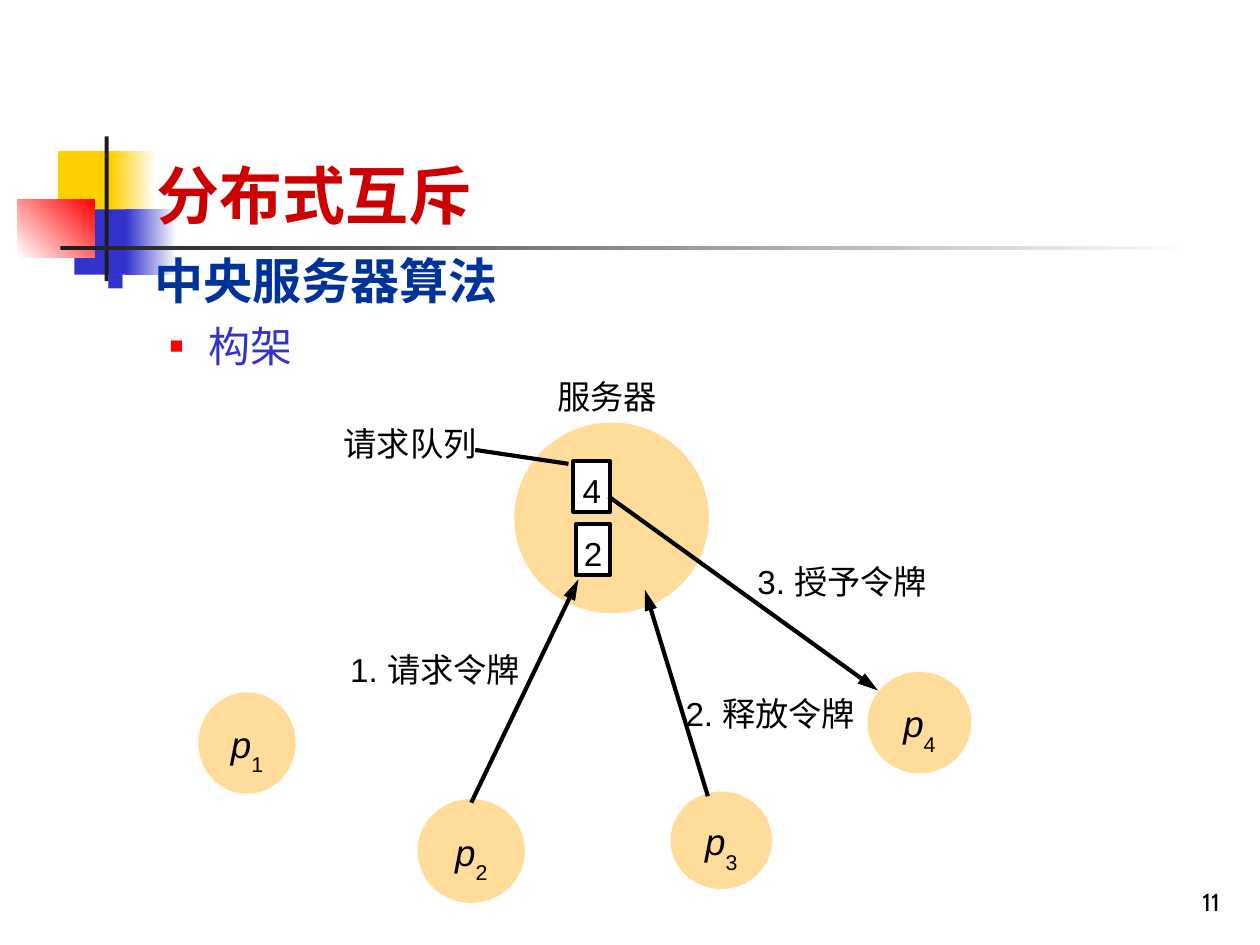
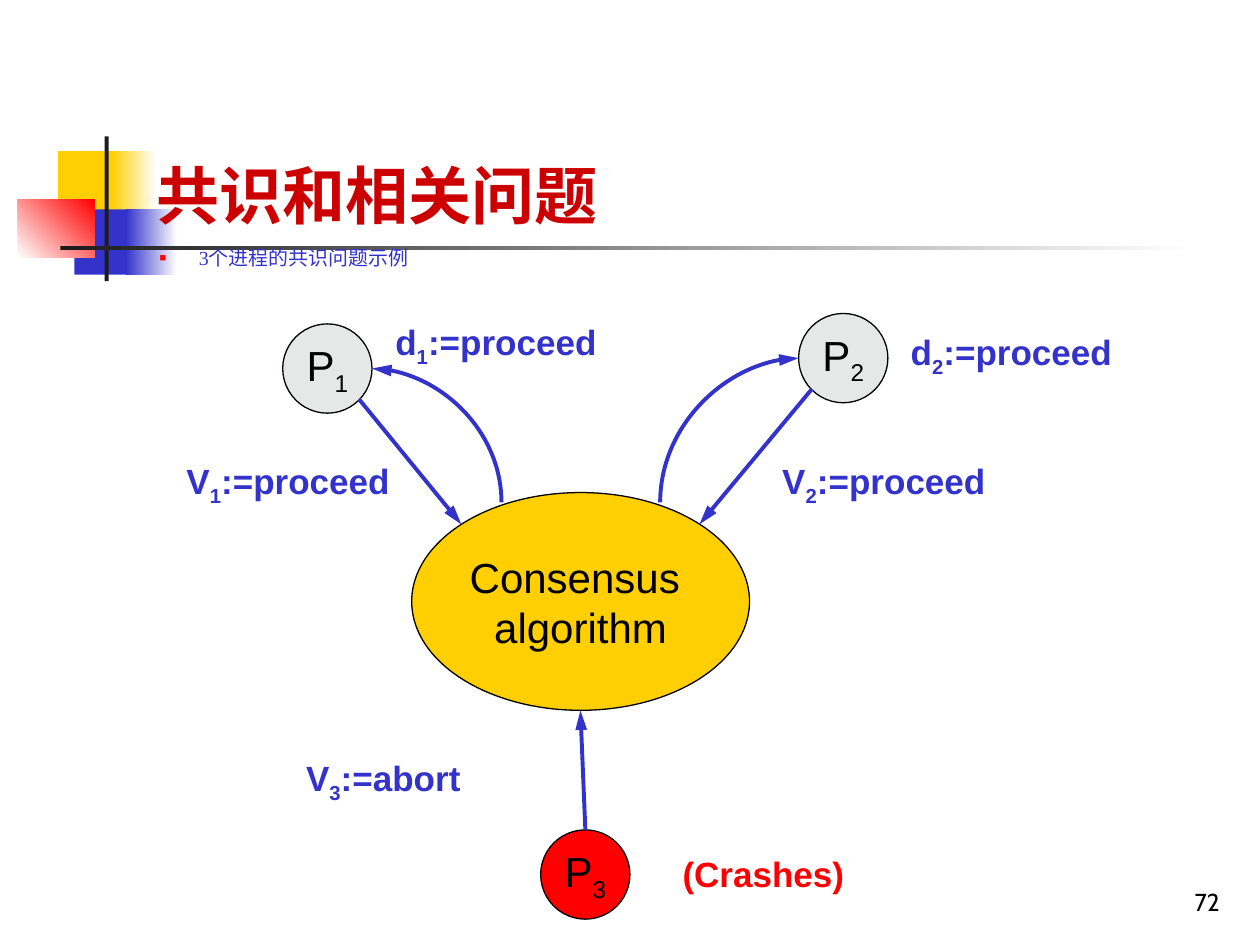
from dataclasses import dataclass

from lxml.etree import SubElement
from pptx import Presentation
from pptx.dml.color import RGBColor
from pptx.enum.shapes import MSO_CONNECTOR, MSO_SHAPE
from pptx.enum.text import MSO_ANCHOR, PP_ALIGN
from pptx.oxml.ns import qn
from pptx.util import Cm, Pt


@dataclass(frozen=True)
class Theme:
    black: str = "000000"
    white: str = "FFFFFF"
    dark: str = "1C1C1C"
    yellow: str = "FFCF01"
    blue: str = "3333CC"
    navy: str = "003399"
    red: str = "FF0000"
    title_red: str = "CC0000"
    peach: str = "FFDC99"
    grey: str = "E6E8E8"
    sans: str = "Arial"
    serif: str = "Times New Roman"
    cjk: str = "Noto Sans CJK JP"
    number_font: str = "Cabin"
    title_size: float = 36
    heading_size: float = 28
    large_size: float = 24
    process_size: float = 21
    value_size: float = 20
    label_size: float = 19
    number_size: float = 14
    note_size: float = 11.4
    thick: float = 2.38
    medium: float = 2.25
    thin: float = 0.75


T = Theme()


@dataclass(frozen=True)
class Box:
    """A region in centimetres; inner() gives a box placed relative to it."""
    x: float
    y: float
    w: float
    h: float

    def inner(self, x, y, w, h):
        return Box(self.x + x, self.y + y, w, h)

    def point(self, x, y):
        return Cm(self.x + x), Cm(self.y + y)

    def lengths(self):
        return Cm(self.x), Cm(self.y), Cm(self.w), Cm(self.h)


def rgb(color):
    return RGBColor.from_string(color)


def write(p, text, size, color, font=T.sans, bold=False, italic=False, drop=-25):
    """Fill a paragraph; the character after "_" becomes a subscript."""
    head, _, tail = text.partition("_")
    for i, part in enumerate((head, tail[:1], tail[1:])):
        if not part:
            continue
        r = p.add_run()
        r.text = part
        r.font.size, r.font.name = Pt(size), font
        r.font.bold, r.font.italic = bold, italic and i == 0
        r.font.color.rgb = rgb(color)
        rPr = r.font._element
        SubElement(rPr, qn("a:ea")).set("typeface", T.cjk)
        if i == 1:
            rPr.set("baseline", str(drop * 1000))


def set_insets(tf, x, top, bottom):
    tf.margin_left = tf.margin_right = Cm(x)
    tf.margin_top, tf.margin_bottom = Cm(top), Cm(bottom)


def add_text(slide, box, text, size, color, inset=(0.25, 0.13), wrap=False,
             anchor=MSO_ANCHOR.TOP, align=PP_ALIGN.LEFT, **style):
    tf = slide.shapes.add_textbox(*box.lengths()).text_frame
    tf.word_wrap, tf.vertical_anchor = wrap, anchor
    set_insets(tf, inset[0], inset[1], inset[1])
    p = tf.paragraphs[0]
    p.alignment = align
    write(p, text, size, color, **style)


def add_block(slide, box, color, end=None, angle=0):
    """A rectangle without outline, fading to the end colour if one is given."""
    sp = slide.shapes.add_shape(MSO_SHAPE.RECTANGLE, *box.lengths())
    sp.shadow.inherit = False
    sp.line.fill.background()
    if end is None:
        sp.fill.solid()
        sp.fill.fore_color.rgb = rgb(color)
        return
    sp.fill.gradient()
    sp.fill.gradient_angle = angle
    for stop, stop_color in zip(sp.fill.gradient_stops, (color, end)):
        stop.color.rgb = rgb(stop_color)


def add_node(slide, box, fill, line, width, text="", size=T.large_size,
             kind=MSO_SHAPE.OVAL, top=0, **style):
    """An outlined shape with centred text, pushed down by a top inset."""
    sp = slide.shapes.add_shape(kind, *box.lengths())
    sp.shadow.inherit = False
    sp.fill.solid()
    sp.fill.fore_color.rgb = rgb(fill)
    sp.line.color.rgb = rgb(line)
    sp.line.width = Pt(width)
    tf = sp.text_frame
    tf.word_wrap, tf.vertical_anchor = False, MSO_ANCHOR.MIDDLE
    set_insets(tf, 0, top, 0)
    for i, line_text in enumerate(text.split("\n")):
        p = tf.add_paragraph() if i else tf.paragraphs[0]
        p.alignment = PP_ALIGN.CENTER
        write(p, line_text, size, T.black, **style)


def add_line(shapes, start, end, color, width, arrow=None,
             kind=MSO_CONNECTOR.STRAIGHT):
    """A connector; arrow is "headEnd" (at start), "tailEnd" (at end) or None."""
    cx = shapes.add_connector(kind, *start, *end)
    cx.line.color.rgb = rgb(color)
    cx.line.width = Pt(width)
    spPr = cx._element.spPr
    if arrow:
        SubElement(spPr.find(qn("a:ln")), qn(f"a:{arrow}"),
                   type="triangle", w="med", len="lg")
    SubElement(spPr, qn("a:effectLst"))
    return cx


def add_bullets(slide, box, items):
    """Items are (text, level, size, colour, bold, line spacing)."""
    levels = ((0.97, -0.97, T.blue, 60, 7), (2.06, -0.79, T.red, 55, 6))
    tf = slide.shapes.add_textbox(*box.lengths()).text_frame
    tf.word_wrap = True
    for i, (text, level, size, color, bold, spacing) in enumerate(items):
        margin, indent, bullet_color, percent, before = levels[level]
        p = tf.add_paragraph() if i else tf.paragraphs[0]
        p.level, p.space_before, p.line_spacing = level, Pt(before), spacing
        pPr = p._p.get_or_add_pPr()
        pPr.set("marL", str(Cm(margin)))
        pPr.set("indent", str(Cm(indent)))
        SubElement(SubElement(pPr, qn("a:buClr")), qn("a:srgbClr"), val=bullet_color)
        SubElement(pPr, qn("a:buSzPct"), val=str(percent * 1000))
        SubElement(pPr, qn("a:buFont"), typeface=T.sans)
        SubElement(pPr, qn("a:buChar"), char="■")
        write(p, text, size, color, font=T.serif, bold=bold)


def draw_ornament(slide, box):
    for x, y, w, h, *colors in (
        (0.81, 0.3, 1.22, 1.32, T.yellow),
        (1.88, 0.3, 0.91, 1.32, T.yellow, T.white),
        (1.14, 1.47, 1.17, 1.32, T.blue),
        (2.18, 1.47, 1.02, 1.32, T.blue, T.white),
        (0, 1.27, 1.55, 1.17, T.white, T.red, 45),
        (1.75, 0, 0.08, 2.92, T.dark),
        (0.86, 2.2, 22.86, 0.09, T.dark, T.white),
    ):
        add_block(slide, box.inner(x, y, w, h), *colors)


def add_titled_slide(prs, title, number):
    slide = prs.slides.add_slide(prs.slide_layouts[6])
    draw_ornament(slide, Box(0.36, 2.75, 23.72, 2.92))
    add_text(slide, Box(19.56, 17.33, 5.28, 1.27), number, T.number_size, T.black,
             wrap=True, anchor=MSO_ANCHOR.BOTTOM, align=PP_ALIGN.RIGHT,
             font=T.number_font)
    add_text(slide, Box(2.9, 2.31, 18.8, 2.49), title, T.title_size, T.title_red,
             wrap=True, anchor=MSO_ANCHOR.BOTTOM, font=T.cjk, bold=True)
    return slide


def draw_token_server(slide, box):
    add_node(slide, box.inner(6.41, 1.06, 3.84, 3.76), T.peach, T.peach, T.thick)
    for name, *place in (("p_1", 0.04, 6.5, 1.88, 1.96),
                         ("p_2", 4.46, 8.65, 2.08, 2.01),
                         ("p_3", 9.56, 8.5, 1.96, 1.88),
                         ("p_4", 13.53, 6.09, 2.01, 1.96)):
        add_node(slide, box.inner(*place), T.peach, T.peach, T.thick, name,
                 T.process_size, top=0.25, italic=True, drop=-40)
    for entry, *place in (("4", 7.56, 1.8, 0.74, 1.02), ("2", 7.61, 3.07, 0.69, 1.02)):
        add_node(slide, box.inner(*place), T.white, T.black, T.thick, entry,
                 T.label_size, kind=MSO_SHAPE.RECTANGLE, top=0.15)
    for start, end, arrow in (
        ((5.58, 1.57), (7.46, 1.85), None),
        ((5.5, 8.68), (7.66, 4.18), "tailEnd"),
        ((8.27, 2.51), (13.7, 6.42), "tailEnd"),
        ((10.27, 8.55), (9, 4.39), "tailEnd"),
    ):
        add_line(slide.shapes, box.point(*start), box.point(*end),
                 T.black, T.thick, arrow)
    for text, x, y, w in (("服务器", 7.23, 0.09, 2.3),
                          ("请求队列", 2.93, 1.03, 3),
                          ("1. 请求令牌", 3.06, 5.59, 3.9),
                          ("2. 释放令牌", 9.82, 6.47, 3.9),
                          ("3. 授予令牌", 11.27, 3.81, 3.9)):
        add_text(slide, box.inner(x, y, w, 0.81), text, T.label_size, T.black,
                 inset=(0, 0))


def draw_consensus(slide, box):
    add_node(slide, box.inner(4.8, 3.93, 6.81, 4.39), T.yellow, T.black, T.thin,
             "Consensus \nalgorithm")
    for name, x, y, fill in (("P_1", 2.2, 0.53, T.grey),
                             ("P_3", 7.4, 10.73, T.red),
                             ("P_2", 12.6, 0.32, T.grey)):
        add_node(slide, box.inner(x, y, 1.8, 1.8), fill, T.black, T.thin, name)
    for start, end in (((3.74, 2.05), (5.8, 4.57)),
                       ((8.3, 10.73), (8.2, 8.32)),
                       ((12.86, 1.85), (10.6, 4.57))):
        add_line(slide.shapes, box.point(*start), box.point(*end),
                 T.blue, T.medium, "tailEnd")
    decisions = slide.shapes.add_group_shape()
    for process, algorithm in (((4, 1.43), (6.61, 4.13)),
                               ((12.6, 1.22), (9.81, 4.13))):
        cx = add_line(decisions.shapes, box.point(*process), box.point(*algorithm),
                      T.blue, T.medium, "headEnd", MSO_CONNECTOR.CURVE)
        cx._element.spPr.find(qn("a:prstGeom")).set("prst", "curvedConnector2")
    for text, x, y, w, color in (("d_1:=proceed", 4.22, 0.34, 5, T.blue),
                                 ("d_2:=proceed", 14.61, 0.53, 5, T.blue),
                                 ("V_1:=proceed", 0.01, 3.13, 5, T.blue),
                                 ("V_2:=proceed", 12.02, 3.13, 5, T.blue),
                                 ("V_3:=abort", 2.42, 9.12, 4.2, T.blue),
                                 ("(Crashes)", 10.01, 11.06, 4.2, T.red)):
        add_text(slide, box.inner(x, y, w, 1.22), text, T.value_size, color, bold=True)


def main():
    prs = Presentation()
    prs.slide_width, prs.slide_height = Cm(25.4), Cm(19.05)

    slide = add_titled_slide(prs, "分布式互斥", "11")
    add_bullets(slide, Box(1.9, 4.93, 22.81, 13.21), (
        ("中央服务器算法", 0, T.heading_size, T.navy, True, 1.0),
        ("构架", 1, T.large_size, T.blue, False, 1.0)))
    draw_token_server(slide, Box(4, 7.5, 16, 11))

    slide = add_titled_slide(prs, "共识和相关问题", "72")
    add_bullets(slide, Box(1.7, 4.93, 22.4, 1.6), (
        ("3个进程的共识问题示例", 1, T.note_size, T.blue, False, 0.8),))
    draw_consensus(slide, Box(3.5, 6, 20, 12.6))

    prs.save("out.pptx")


if __name__ == "__main__":
    main()
